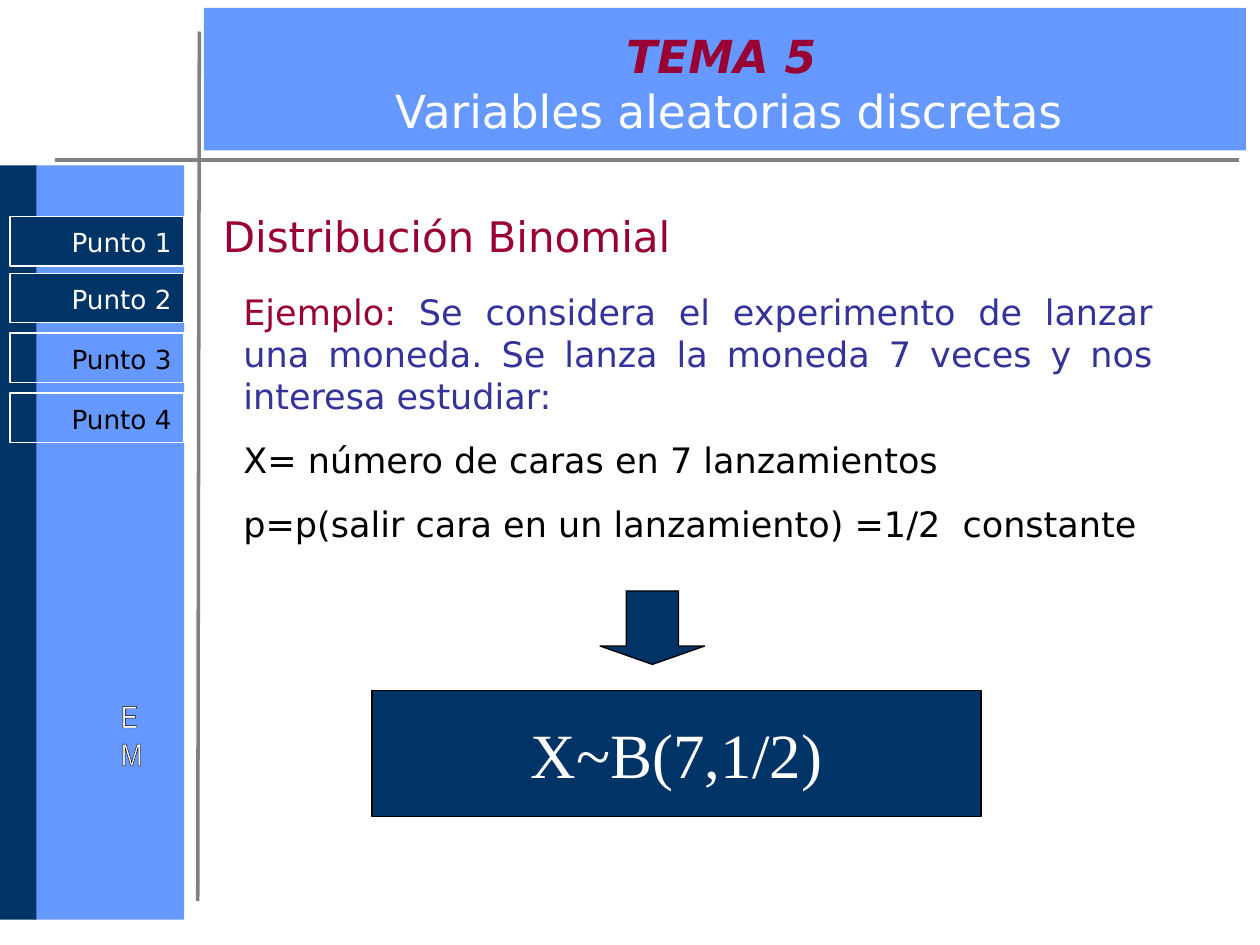
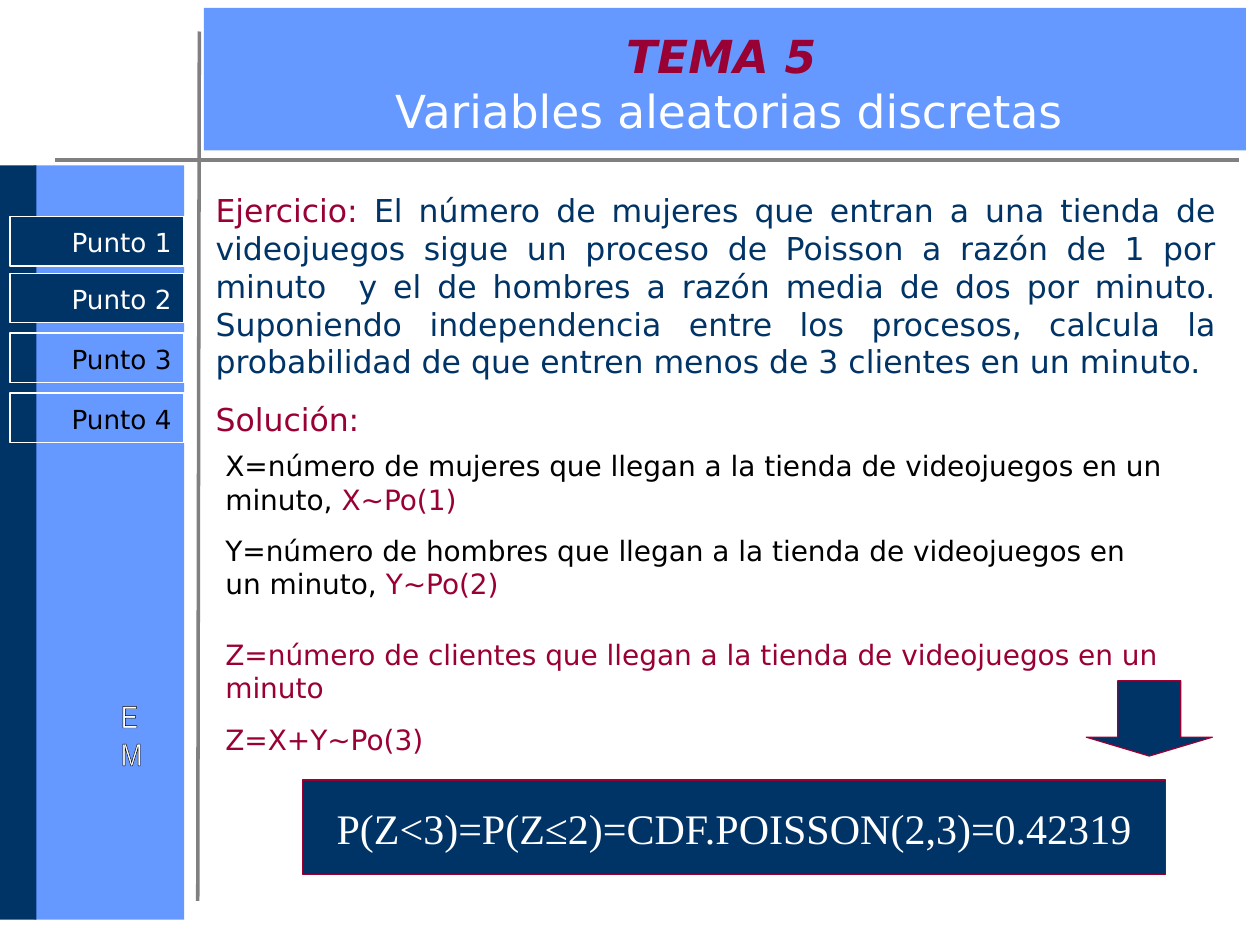
from dataclasses import dataclass

from lxml import etree
from pptx import Presentation
from pptx.dml.color import RGBColor
from pptx.enum.shapes import MSO_CONNECTOR, MSO_SHAPE
from pptx.enum.text import MSO_ANCHOR, PP_ALIGN
from pptx.oxml import parse_xml
from pptx.oxml.ns import qn
from pptx.util import Pt

RECT, DOWN_ARROW = MSO_SHAPE.RECTANGLE, MSO_SHAPE.DOWN_ARROW
STRAIGHT = MSO_CONNECTOR.STRAIGHT
TOP, MIDDLE = MSO_ANCHOR.TOP, MSO_ANCHOR.MIDDLE
LEFT, CENTER, RIGHT, JUSTIFY = PP_ALIGN.LEFT, PP_ALIGN.CENTER, PP_ALIGN.RIGHT, PP_ALIGN.JUSTIFY


@dataclass(frozen=True)
class Theme:
    sky: str = "6699FF"
    navy: str = "003366"
    wine: str = "990033"
    indigo: str = "333399"
    grey: str = "808080"
    black: str = "000000"
    white: str = "FFFFFF"
    body_font: str = "DejaVu Sans"
    formula_font: str = "Times New Roman"
    initials_font: str = "Arial Narrow"
    title: float = 26
    heading: float = 24
    example: float = 20
    exercise: float = 18
    solution: float = 16
    menu: float = 15
    initials: float = 18
    rule: float = 2
    border: float = 0.75


T = Theme()


def add_box(s, shape_type, box, fill=None, line=None):
    sp = s.shapes.add_shape(shape_type, *map(Pt, box))
    sp.shadow.inherit = False
    if fill:
        sp.fill.solid()
        sp.fill.fore_color.rgb = RGBColor.from_string(fill)
    else:
        sp.fill.background()
    if line:
        sp.line.color.rgb = RGBColor.from_string(line)
        sp.line.width = Pt(T.border)
    else:
        sp.line.fill.background()
    return sp


def write(sp, paragraphs, size, font=T.body_font, align=LEFT, anchor=TOP, gap=0, wrap=True):
    """Each paragraph is a list of (text, colour) pairs."""
    tf = sp.text_frame
    tf.word_wrap = wrap
    tf.vertical_anchor = anchor
    for i, pieces in enumerate(paragraphs):
        p = tf.add_paragraph() if i else tf.paragraphs[0]
        p.alignment = align
        if i:
            p.space_before = Pt(gap)
        for text, color in pieces:
            r = p.add_run()
            r.text = text
            r.font.name = font
            r.font.size = Pt(size)
            r.font.color.rgb = RGBColor.from_string(color)
    return tf


INITIALS_STYLE = """<a:rPr xmlns:a="http://schemas.openxmlformats.org/drawingml/2006/main">
<a:ln w="9525"><a:solidFill><a:srgbClr val="000000"/></a:solidFill></a:ln>
<a:gradFill><a:gsLst><a:gs pos="0"><a:srgbClr val="707070"/></a:gs>
<a:gs pos="50000"><a:srgbClr val="FFFFFF"/></a:gs>
<a:gs pos="100000"><a:srgbClr val="707070"/></a:gs></a:gsLst>
<a:lin ang="2700000" scaled="1"/></a:gradFill></a:rPr>"""

BANDS = [
    ((19.5, 94.5, 85.8, 431), T.sky),
    ((0, 94.5, 20.8, 431), T.navy),
    ((116.6, 4.5, 595.4, 81.5), T.sky),
]
RULES = [(31.7, 91.4, 707.8, 91.4), (113, 514.8, 113.9, 18)]
MENU = [  # label, top, fill, text colour
    ("Punto 1", 123.8, T.navy, T.white),
    ("Punto 2", 156.2, T.navy, T.white),
    ("Punto 3", 190.3, None, T.black),
    ("Punto 4", 224.6, None, T.black),
]

# Content of each slide: text blocks, then the arrow and the result it points to
SLIDES = [
    {
        "blocks": [  # box, size, alignment, gap, paragraphs
            ((120.3, 116.6, 504, 36), T.heading, LEFT, 0, [[("Distribución Binomial", T.wine)]]),
            ((132, 162.3, 534, 152.6), T.example, JUSTIFY, 12.5, [
                [("Ejemplo:", T.wine),
                 (" Se considera el experimento de lanzar una moneda. Se lanza la moneda "
                  "7 veces y nos interesa estudiar:", T.indigo)],
                [("X= número de caras en 7 lanzamientos", T.black)],
                [("p=p(salir cara en un lanzamiento) =1/2  constante", T.black)],
            ]),
        ],
        "arrow": (342.9, 337.7, 59.8, 42),
        "result": (212.6, 394.5, 348, 72),
        "formula": "X~B(7,1/2)",
        "formula_size": 36,
        "outline": T.black,
    },
    {
        "blocks": [
            ((116.1, 105.8, 586, 148.3), T.exercise, JUSTIFY, 11.2, [
                [("Ejercicio: ", T.wine),
                 ("El número de mujeres que entran a una tienda de videojuegos sigue un proceso "
                  "de Poisson a razón de 1 por minuto  y el de hombres a razón media de dos por "
                  "minuto. Suponiendo independencia entre los procesos, calcula la probabilidad "
                  "de que entren menos de 3 clientes en un minuto.", T.navy)],
                [("Solución:", T.wine)],
            ]),
            ((121.7, 252.7, 550, 94.3), T.solution, LEFT, 10, [
                [("X=número de mujeres que llegan a la tienda de videojuegos en un minuto, ", T.black),
                 ("X~Po(1)", T.wine)],
                [("Y=número de hombres que llegan a la tienda de videojuegos en un minuto, ", T.black),
                 ("Y~Po(2)", T.wine)],
            ]),
            ((121.7, 360.7, 550, 74.9), T.solution, LEFT, 10, [
                [("Z=número de clientes que llegan a la tienda de videojuegos en un minuto", T.wine)],
                [("Z=X+Y~Po(3)", T.wine)],
            ]),
        ],
        "arrow": (620.8, 389, 72, 43),
        "result": (172.9, 445.7, 493, 54),
        "formula": "P(Z<3)=P(Z≤2)=CDF.POISSON(2,3)=0.42319",
        "formula_size": 24,
        "outline": T.wine,
    },
]

prs = Presentation()
prs.slide_width, prs.slide_height = Pt(720), Pt(540)

for content in SLIDES:
    s = prs.slides.add_slide(prs.slide_layouts[6])

    # Bands and crossing rules
    for box, color in BANDS:
        add_box(s, RECT, box, color)
    for ends in RULES:
        rule = s.shapes.add_connector(STRAIGHT, *map(Pt, ends))
        rule.line.color.rgb = RGBColor.from_string(T.grey)
        rule.line.width = Pt(T.rule)
        etree.SubElement(rule._element.spPr, qn("a:effectLst"))

    # Side menu
    for label, top, fill, color in MENU:
        item = add_box(s, RECT, (5.7, top, 99.5, 28.2), fill, T.white)
        write(item, [[(label, color)]], T.menu, align=RIGHT).margin_top = Pt(5.6)

    # Outlined initials
    sp = s.shapes.add_textbox(Pt(62), Pt(394.5), Pt(36), Pt(30))
    sp.text_frame.text = "EM"
    sp.text_frame.word_wrap = False
    r = sp.text_frame.paragraphs[0].runs[0]
    r._r.insert(0, parse_xml(INITIALS_STYLE))
    r.font.name = T.initials_font
    r.font.size = Pt(T.initials)

    # Title
    sp = s.shapes.add_textbox(Pt(123), Pt(19.5), Pt(587.5), Pt(55.5))
    tf = sp.text_frame
    tf.word_wrap = True
    tf.vertical_anchor = MIDDLE
    p = tf.paragraphs[0]
    p.text = "TEMA 5 \vVariables aleatorias discretas"
    p.alignment = CENTER
    for r, color, strong in zip(p.runs, (T.wine, T.white), (True, False)):
        r.font.name = T.body_font
        r.font.size = Pt(T.title)
        r.font.bold = r.font.italic = strong
        r.font.color.rgb = RGBColor.from_string(color)

    # Text blocks
    for box, size, align, gap, paragraphs in content["blocks"]:
        sp = s.shapes.add_textbox(*map(Pt, box))
        write(sp, paragraphs, size, align=align, gap=gap)

    # Arrow to the result
    arrow = add_box(s, DOWN_ARROW, content["arrow"], T.navy, content["outline"])
    arrow.adjustments[0], arrow.adjustments[1] = 0.5, 0.25
    result = add_box(s, RECT, content["result"], T.navy, content["outline"])
    write(result, [[(content["formula"], T.white)]], content["formula_size"],
          T.formula_font, CENTER, MIDDLE, wrap=False)

prs.save("out.pptx")
